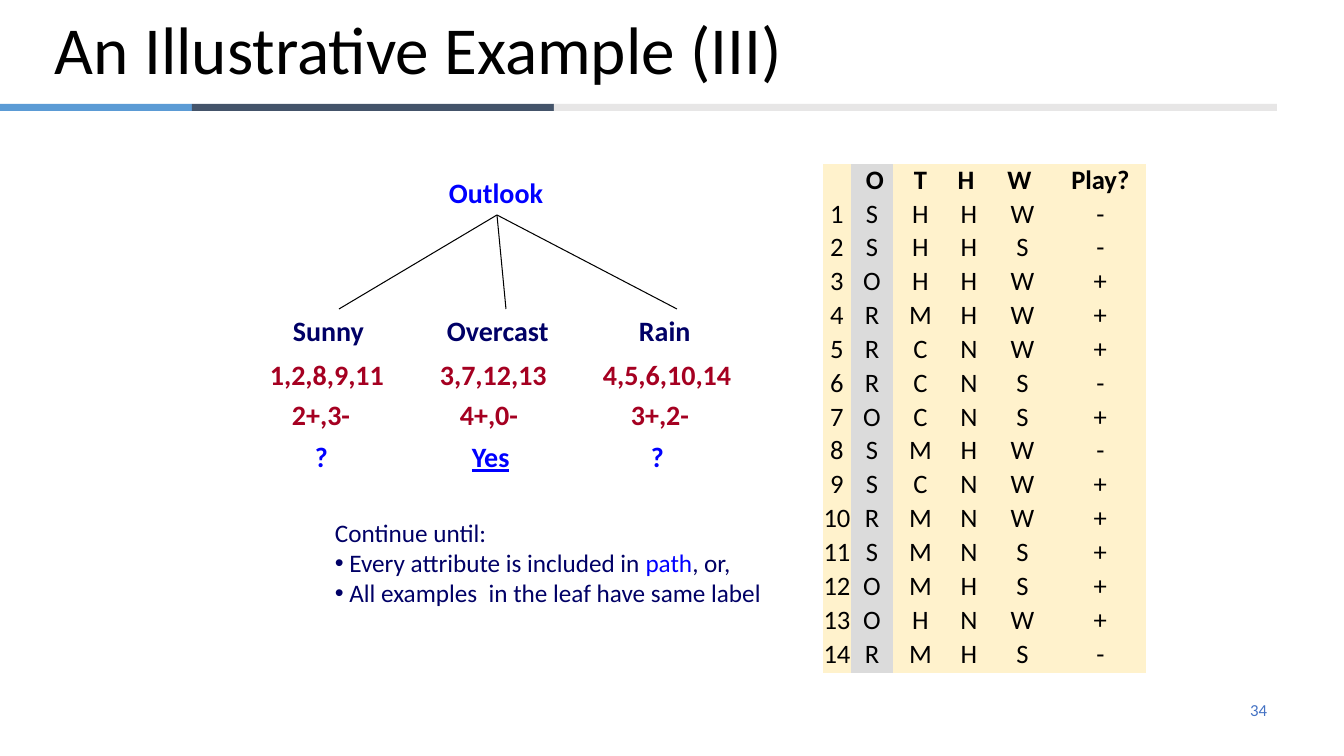
from lxml.etree import SubElement
from pptx import Presentation
from pptx.dml.color import RGBColor
from pptx.enum.shapes import MSO_CONNECTOR, MSO_SHAPE
from pptx.enum.text import MSO_ANCHOR, MSO_AUTO_SIZE, PP_ALIGN
from pptx.oxml.ns import qn
from pptx.util import Pt

EMU_PER_PX = 914400 / 100.8
BLACK = RGBColor(0x00, 0x00, 0x00)
SKY = RGBColor(0x5B, 0x9B, 0xD5)
SLATE = RGBColor(0x44, 0x54, 0x6A)
SILVER = RGBColor(0xE7, 0xE6, 0xE6)
PAGE_BLUE = RGBColor(0x44, 0x72, 0xC4)
BLUE = RGBColor(0x00, 0x00, 0xFF)
NAVY = RGBColor(0x00, 0x00, 0x66)
CRIMSON = RGBColor(0xA5, 0x00, 0x21)
CREAM = RGBColor(0xFF, 0xF2, 0xCC)
GREY = RGBColor(0xDB, 0xDB, 0xDB)
NO_STYLE_NO_GRID = "{2D5ABB26-0587-4C30-8999-92F81FD0307C}"


def px(length):
    return round(length * EMU_PER_PX)


class SlideBuilder:
    """Draws styled elements on one slide, measured in px."""

    def __init__(self, slide, font="Calibri"):
        self.slide = slide
        self.font = font

    def style(self, run, size, color, bold=False, underline=False):
        run.font.name = self.font
        run.font.size = Pt(size)
        run.font.color.rgb = color
        run.font.bold = bold
        run.font.underline = underline

    def bar(self, left, top, width, height, color):
        bar = self.slide.shapes.add_shape(
            MSO_SHAPE.RECTANGLE, px(left), px(top), px(width), px(height))
        bar.shadow.inherit = False
        bar.fill.solid()
        bar.fill.fore_color.rgb = color
        bar.line.fill.background()

    def text(self, box, paragraphs, size, color, bold=False, underline=False,
             align=PP_ALIGN.LEFT, anchor=MSO_ANCHOR.TOP, wrap=False):
        label = self.slide.shapes.add_textbox(*map(px, box))
        frame = label.text_frame
        frame.word_wrap = wrap
        frame.auto_size = MSO_AUTO_SIZE.NONE if wrap else MSO_AUTO_SIZE.SHAPE_TO_FIT_TEXT
        frame.vertical_anchor = anchor
        frame.text = "\n".join(paragraphs)
        for paragraph in frame.paragraphs:
            paragraph.alignment = align
            for run in paragraph.runs:
                self.style(run, size, color, bold, underline)
        return label

    def bullet(self, paragraph):
        properties = paragraph._p.get_or_add_pPr()
        SubElement(properties, qn("a:buFont"), typeface="Arial")
        SubElement(properties, qn("a:buChar"), char="•")

    def highlight(self, paragraph, word, size, color, accent):
        before, after = paragraph.text.split(word)
        paragraph.text = before
        for part in (word, after):
            paragraph.add_run().text = part
        for run in paragraph.runs:
            self.style(run, size, accent if run.text == word else color)

    def branch(self, parent, end_x, end_y):
        branch = self.slide.shapes.add_connector(
            MSO_CONNECTOR.STRAIGHT, 0, 0, px(end_x), px(end_y))
        branch.begin_connect(parent, 2)
        branch.line.color.rgb = BLACK
        branch.line.width = Pt(0.75)
        SubElement(branch.element.spPr, qn("a:effectLst"))

    def table(self, left, top, widths, heights, rows, size, shaded_column):
        frame = self.slide.shapes.add_table(
            len(rows), len(widths), px(left), px(top), px(sum(widths)), px(sum(heights)))
        frame.element.find(".//" + qn("a:tableStyleId")).text = NO_STYLE_NO_GRID
        table = frame.table
        table.horz_banding = False
        for column, width in zip(table.columns, widths):
            column.width = px(width)
        for row_index, (values, height) in enumerate(zip(rows, heights)):
            table.rows[row_index].height = px(height)
            for column_index, value in enumerate(values):
                cell = table.cell(row_index, column_index)
                cell.margin_left = cell.margin_right = 0
                cell.margin_top = cell.margin_bottom = 0
                cell.fill.solid()
                cell.fill.fore_color.rgb = GREY if column_index == shaded_column else CREAM
                cell.text_frame.text = value
                paragraph = cell.text_frame.paragraphs[0]
                paragraph.alignment = PP_ALIGN.CENTER
                for run in paragraph.runs:
                    self.style(run, size, BLACK, bold=row_index == 0)


RULE = [(-1, 193, SKY), (192, 362, SLATE), (554, 723, SILVER)]
LEVELS = [(309, NAVY), (353, CRIMSON), (393, CRIMSON), (435, BLUE)]
BRANCHES = [
    (677, [("Rain", 629, 73), ("4,5,6,10,14", 593, 149), ("3+,2-", 621, 79), ("?", 641, 39)]),
    (506, [("Overcast", 437, 123), ("3,7,12,13", 430, 128), ("4+,0-", 450, 79),
           ("Yes", 462, 58)]),
    (339, [("Sunny", 283, 93), ("1,2,8,9,11", 260, 135), ("2+,3-", 282, 79), ("?", 305, 33)]),
]
STOP_RULES = [
    "Continue until:",
    " Every attribute is included in path, or,",
    " All examples  in the leaf have same label",
]
HEADER = ["", " O", "T", "H ", "W ", "Play?"]
EXAMPLES = ("SHHW- SHHS- OHHW+ RMHW+ RCNW+ RCNS- OCNS+ "
            "SMHW- SCNW+ RMNW+ SMNS+ OMHS+ OHNW+ RMHS-").split()


def main():
    presentation = Presentation()
    presentation.slide_width = px(1344)
    presentation.slide_height = px(756)
    builder = SlideBuilder(presentation.slides.add_slide(presentation.slide_layouts[6]))

    for left, width, color in RULE:
        builder.bar(left, 104, width, 7, color)
    builder.text((964, 690, 313, 40), ["34"], 12, PAGE_BLUE,
                 align=PP_ALIGN.RIGHT, anchor=MSO_ANCHOR.MIDDLE, wrap=True)
    title = builder.text((45, 2, 1210, 102), ["An Illustrative Example (III)"], 48, BLACK,
                         anchor=MSO_ANCHOR.MIDDLE, wrap=True)
    title.text_frame.paragraphs[0].line_spacing = 0.9

    outlook = builder.text((439, 171, 116, 44), ["Outlook"], 20, BLUE, bold=True)
    for branch_x, leaf in BRANCHES:
        builder.branch(outlook, branch_x, 309)
        for (top, color), (wording, left, width) in zip(LEVELS, leaf):
            builder.text((left, top, width, 44), [wording], 20, color, bold=True,
                         underline=wording == "Yes")

    stopping = builder.text((325, 512, 450, 102), STOP_RULES, 18, NAVY)
    conditions = stopping.text_frame.paragraphs[1:]
    builder.highlight(conditions[0], "path", 18, NAVY, BLUE)
    for condition in conditions:
        builder.bullet(condition)

    rows = [HEADER] + [[str(day), *example] for day, example in enumerate(EXAMPLES, 1)]
    builder.table(823, 164, [28, 42, 55, 42, 65, 91], [34, 33] + [34] * 13, rows, 19,
                  shaded_column=1)
    presentation.save("out.pptx")


if __name__ == "__main__":
    main()
